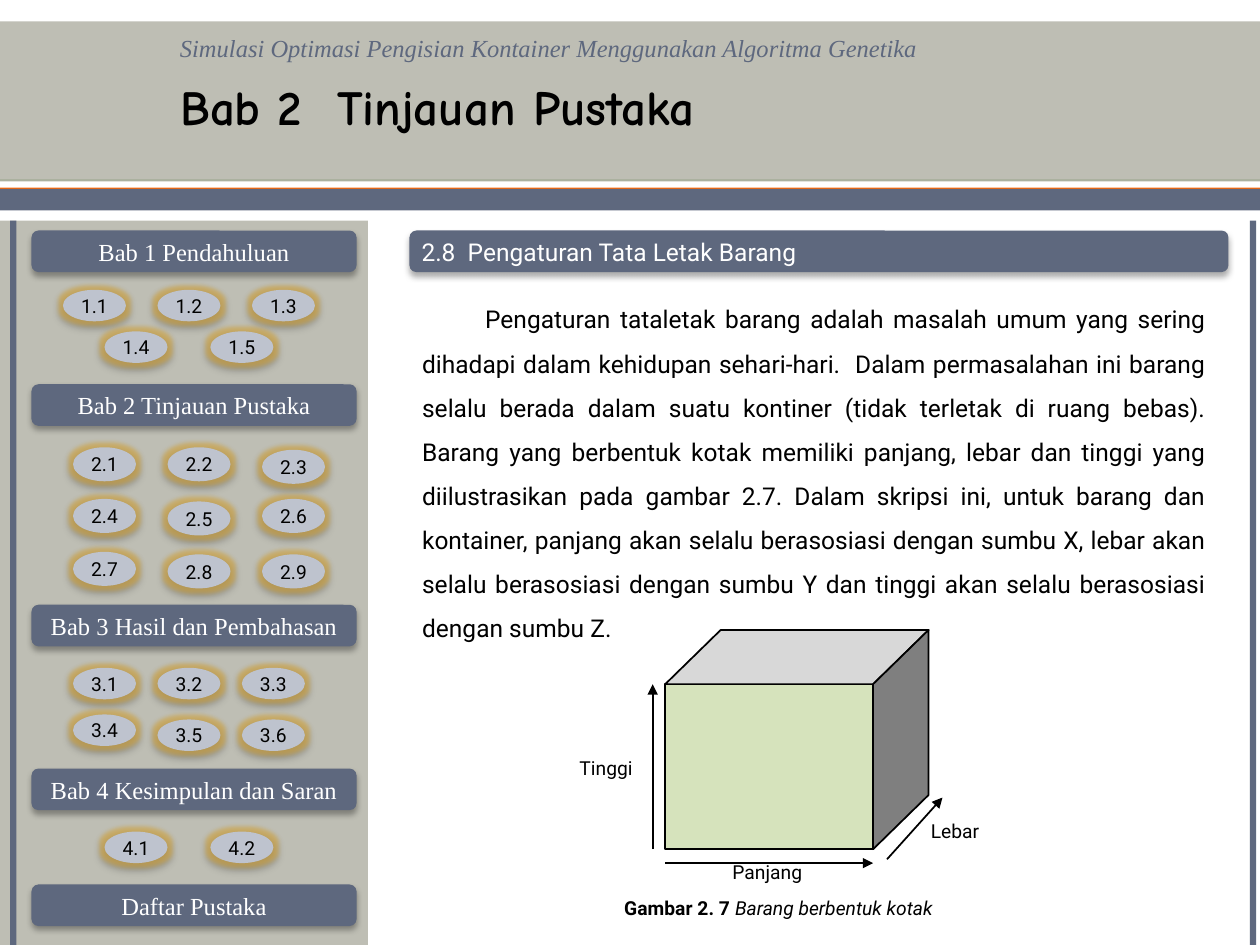
from lxml import etree
from pptx import Presentation
from pptx import util as u
from pptx.dml.color import RGBColor
from pptx.enum import shapes, text
from pptx.oxml import ns

SLATE, STONE, BLACK, WHITE = "5E687E", "BEBEB4", "000000", "FFFFFF"
SANS, SERIF = "Roboto", "Times New Roman"
LEFT, CENTER, JUSTIFY = text.PP_ALIGN.LEFT, text.PP_ALIGN.CENTER, text.PP_ALIGN.JUSTIFY
TOP, MIDDLE = text.MSO_ANCHOR.TOP, text.MSO_ANCHOR.MIDDLE
RECT, OVAL = shapes.MSO_SHAPE.RECTANGLE, shapes.MSO_SHAPE.OVAL
BAR = shapes.MSO_SHAPE.FLOWCHART_ALTERNATE_PROCESS


def color(hex_value):
    return RGBColor.from_string(hex_value)


def add_xml(parent, tag, **attributes):
    return etree.SubElement(parent, ns.qn(tag), attributes)


class SlideBuilder:
    def __init__(self, slide):
        self.slide = slide
        self.shapes = slide.shapes

    def effects(self, shape, glow=False):
        """Soft drop shadow, with an optional golden glow."""
        effect_list = shape._element.spPr.find(ns.qn("a:effectLst"))
        if glow:
            halo = add_xml(effect_list, "a:glow", rad=str(u.Pt(5)))
            tint = add_xml(halo, "a:srgbClr", val="D9A93F")
            add_xml(tint, "a:alpha", val="60000")
        shadow = add_xml(effect_list, "a:outerShdw", blurRad=str(u.Pt(3.5)),
                         dist=str(u.Pt(2.2)), dir="5400000", rotWithShape="0")
        tint = add_xml(shadow, "a:srgbClr", val=BLACK)
        add_xml(tint, "a:alpha", val="32000")

    def set_text(self, shape, words, size, font=SANS, ink=BLACK, align=LEFT,
                 anchor=TOP, inset=(0, 0), bold=False, italic=False):
        frame = shape.text_frame
        frame.text = words
        frame.word_wrap = True
        frame.auto_size = text.MSO_AUTO_SIZE.NONE
        frame.vertical_anchor = anchor
        frame.margin_left = frame.margin_right = u.Inches(inset[0])
        frame.margin_top = frame.margin_bottom = u.Inches(inset[1])
        paragraph = frame.paragraphs[0]
        paragraph.alignment = align
        for run in paragraph.runs:
            run.font.name, run.font.size = font, u.Pt(size)
            run.font.bold, run.font.italic = bold, italic
            run.font.color.rgb = color(ink)
        return paragraph

    def block(self, kind, x, y, w, h, fill):
        shape = self.shapes.add_shape(kind, *map(u.Inches, (x, y, w, h)))
        shape.shadow.inherit = False
        shape.fill.solid()
        shape.fill.fore_color.rgb = color(fill)
        shape.line.fill.background()
        return shape

    def bar(self, x, y, w, words, font, align=CENTER, inset=0.0):
        shape = self.block(BAR, x, y, w, 0.33, SLATE)
        self.effects(shape)
        self.set_text(shape, words, 14, font, WHITE, align, MIDDLE, (inset, 0))

    def button(self, x, y, h, words):
        shape = self.block(OVAL, x, y, 0.5, h, "BEC3CE")
        self.effects(shape, glow=True)
        self.set_text(shape, words, 11, align=CENTER, anchor=MIDDLE)

    def label(self, x, y, w, h, words, size=11, **style):
        box = self.shapes.add_textbox(*map(u.Inches, (x, y, w, h)))
        return self.set_text(box, words, size, **style)

    def placeholder(self, holder, x, y, w, h, words, size, **style):
        holder.left, holder.top, holder.width, holder.height = map(u.Inches, (x, y, w, h))
        self.shapes._spTree.append(holder._element)  # in front of the backdrop
        return self.set_text(holder, words, size, inset=(0.1, 0.05), **style)

    def face(self, points, fill):
        corners = [(u.Inches(x), u.Inches(y)) for x, y in points]
        builder = self.shapes.build_freeform(*corners[0])
        builder.add_line_segments(corners[1:], close=True)
        shape = builder.convert_to_shape()
        shape.shadow.inherit = False
        shape.fill.solid()
        shape.fill.fore_color.rgb = color(fill)
        shape.line.color.rgb = color(BLACK)
        shape.line.width = u.Pt(1)

    def arrow(self, *ends):
        line = self.shapes.add_connector(shapes.MSO_CONNECTOR.STRAIGHT, *map(u.Inches, ends))
        line.line.color.rgb = color(BLACK)
        line.line.width = u.Pt(1)
        add_xml(line.line._get_or_add_ln(), "a:tailEnd", type="triangle")
        add_xml(line._element.spPr, "a:effectLst")


# Each chapter: heading, bar top, button height, button positions
CHAPTERS = [
    ("Bab 1 Pendahuluan", 1.83, 0.25,
     [(0.5, 2.3), (1.25, 2.3), (2, 2.3), (0.83, 2.63), (1.67, 2.63)]),
    ("Bab 2 Tinjauan Pustaka", 3.05, 0.27,
     [(0.58, 3.55), (1.33, 3.55), (2.08, 3.57),
      (0.58, 3.96), (1.33, 3.98), (2.08, 3.96),
      (0.58, 4.38), (1.33, 4.4), (2.08, 4.4)]),
    ("Bab 3 Hasil dan Pembahasan", 4.8, 0.25,
     [(0.58, 5.3), (1.25, 5.3), (1.92, 5.3),
      (0.58, 5.67), (1.25, 5.71), (1.92, 5.71)]),
    ("Bab 4 Kesimpulan dan Saran", 6.1, 0.25, [(0.83, 6.6), (1.67, 6.6)]),
    ("Daftar Pustaka", 7.02, 0.25, []),
]

EXPLANATION = (
    "Pengaturan tataletak barang adalah masalah umum yang sering dihadapi dalam "
    "kehidupan sehari-hari.  Dalam permasalahan ini barang selalu berada dalam suatu "
    "kontiner (tidak terletak di ruang bebas). Barang yang berbentuk kotak memiliki "
    "panjang, lebar dan tinggi yang diilustrasikan pada gambar 2.7. Dalam skripsi ini, "
    "untuk barang dan kontainer, panjang akan selalu berasosiasi dengan sumbu X, lebar "
    "akan selalu berasosiasi dengan sumbu Y dan tinggi akan selalu berasosiasi dengan "
    "sumbu Z.")


def main():
    deck = Presentation()
    deck.slide_width, deck.slide_height = u.Inches(10), u.Inches(7.5)
    page = SlideBuilder(deck.slides.add_slide(deck.slide_layouts[1]))
    title, body = page.slide.placeholders

    # Header bands, sidebar and edge rules
    for x, y, w, h, fill in [
            (0, 0.18, 10, 1.26, "ABB19F"), (0, 1.49, 10, 0.16, "F4680B"),
            (0, 0.17, 10, 1.25, STONE), (0, 1.5, 10, 0.17, SLATE),
            (0, 1.75, 2.92, 5.75, STONE), (0.08, 1.75, 0.05, 5.75, SLATE),
            (9.92, 1.75, 0.05, 5.75, SLATE)]:
        page.block(RECT, x, y, w, h, fill)

    # Thesis name and chapter title
    page.label(1.33, 0.21, 8.67, 0.34,
               "Simulasi Optimasi Pengisian Kontainer Menggunakan Algoritma Genetika",
               14, font=SERIF, ink=SLATE, italic=True, inset=(0.1, 0.05))
    page.placeholder(title, 1.33, 0.56, 5.17, 0.57, "Bab 2  Tinjauan Pustaka", 28,
                     font="Comic Neue", bold=True)

    # Chapter navigation
    for chapter, (heading, top, height, spots) in enumerate(CHAPTERS, 1):
        page.bar(0.25, top, 2.58, heading, SERIF)
        for section, (x, y) in enumerate(spots, 1):
            page.button(x, y, height, f"{chapter}.{section}")

    # Section heading and explanation
    page.bar(3.25, 1.83, 6.5, "2.8  Pengaturan Tata Letak Barang", SANS, LEFT, 0.08)
    explanation = page.placeholder(body, 3.25, 2.25, 6.42, 2.93, EXPLANATION, 14,
                                   align=JUSTIFY)
    explanation.line_spacing = 1.5
    explanation.space_before = u.Pt(0)
    indents = explanation._p.get_or_add_pPr()
    indents.set("marL", "0")
    indents.set("indent", str(u.Inches(0.5)))
    add_xml(indents, "a:buNone")

    # Box: front, top and side faces
    left, right, top, bottom = 5.28, 6.93, 5.43, 6.74
    depth_x, depth_y = 0.44, 0.43
    back_left, back_right = left + depth_x, right + depth_x
    back_top, back_bottom = top - depth_y, bottom - depth_y
    page.face([(left, top), (right, top), (right, bottom), (left, bottom)], "D6E3BC")
    page.face([(left, top), (right, top), (back_right, back_top), (back_left, back_top)],
              "D8D8D8")
    page.face([(right, top), (right, bottom), (back_right, back_bottom),
               (back_right, back_top)], "7F7F7F")

    # Dimension arrows, their labels and the caption
    page.arrow(5.18, bottom, 5.18, top)
    page.arrow(left, 6.85, right, 6.85)
    page.arrow(7.04, 6.82, 7.48, 6.33)
    page.label(4.5, 6, 0.62, 0.17, "Tinggi", align=CENTER)
    page.label(5.67, 6.83, 0.84, 0.2, "Panjang", align=CENTER)
    page.label(7.17, 6.5, 0.82, 0.21, "Lebar", align=CENTER)
    caption = page.label(4.5, 7.11, 3.36, 0.39, "Gambar 2. 7 ", align=CENTER, bold=True)
    description = caption.add_run()
    description.text = "Barang berbentuk kotak"
    description.font.name, description.font.size = SANS, u.Pt(11)
    description.font.italic = True
    description.font.color.rgb = color(BLACK)

    deck.save("out.pptx")


if __name__ == "__main__":
    main()
